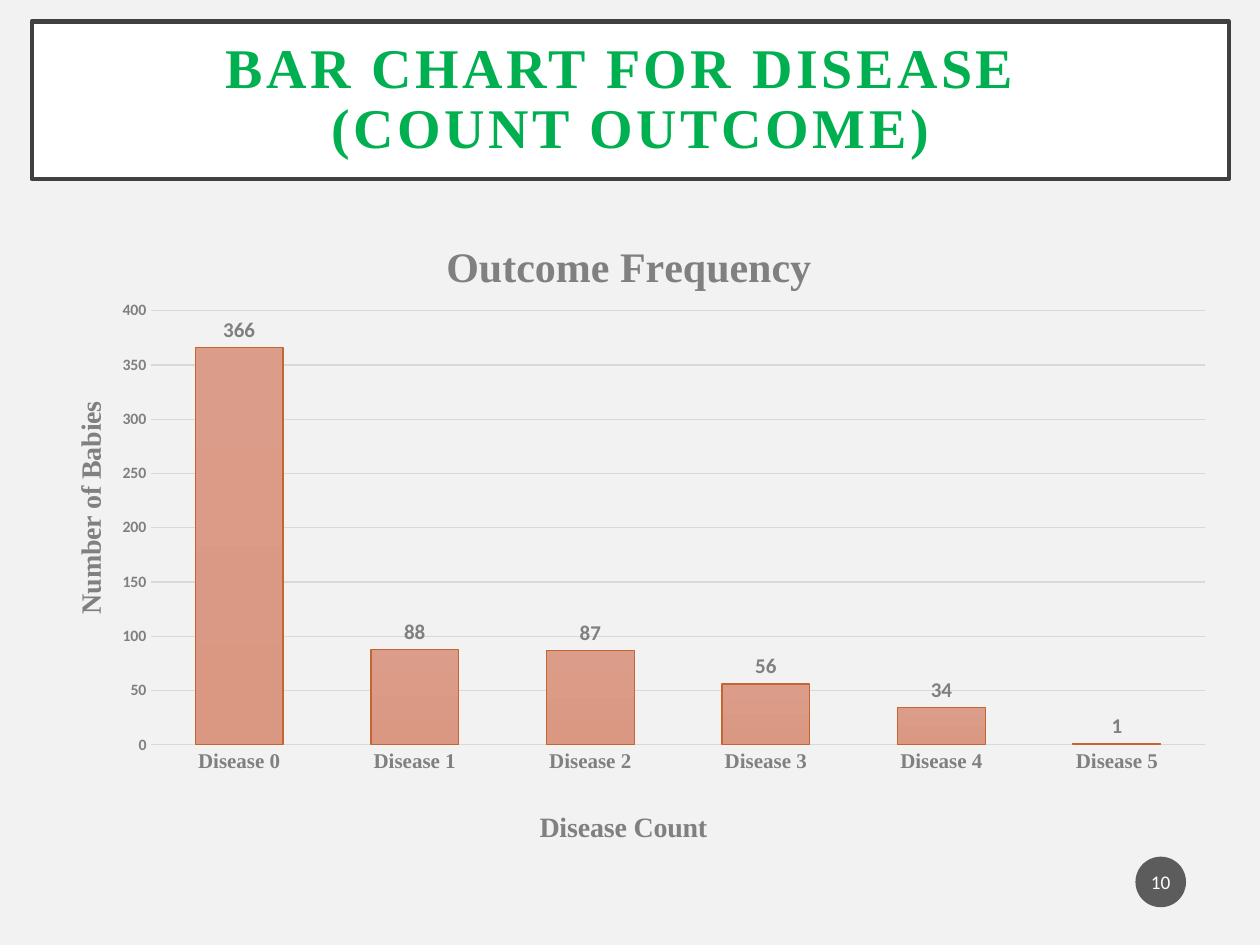
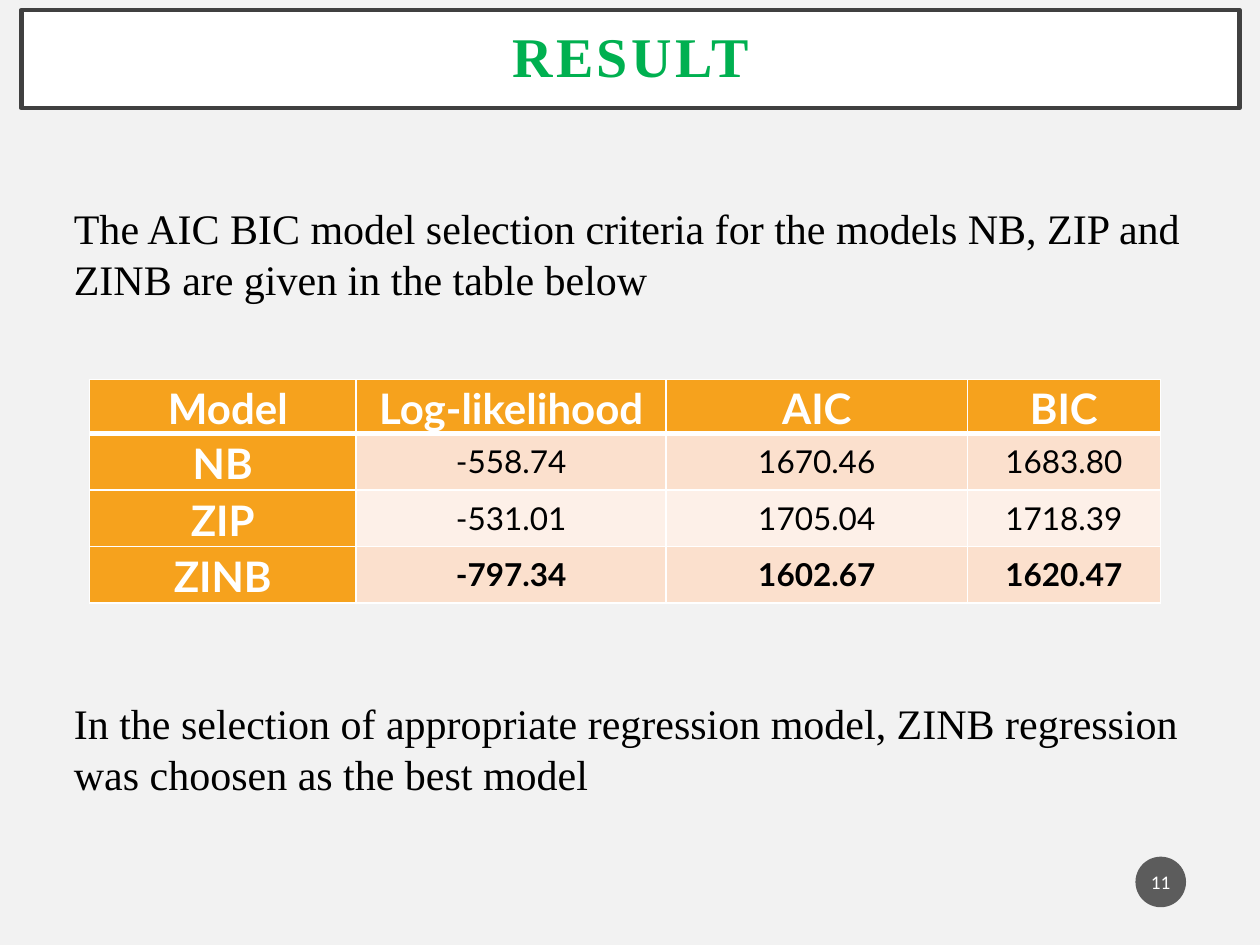
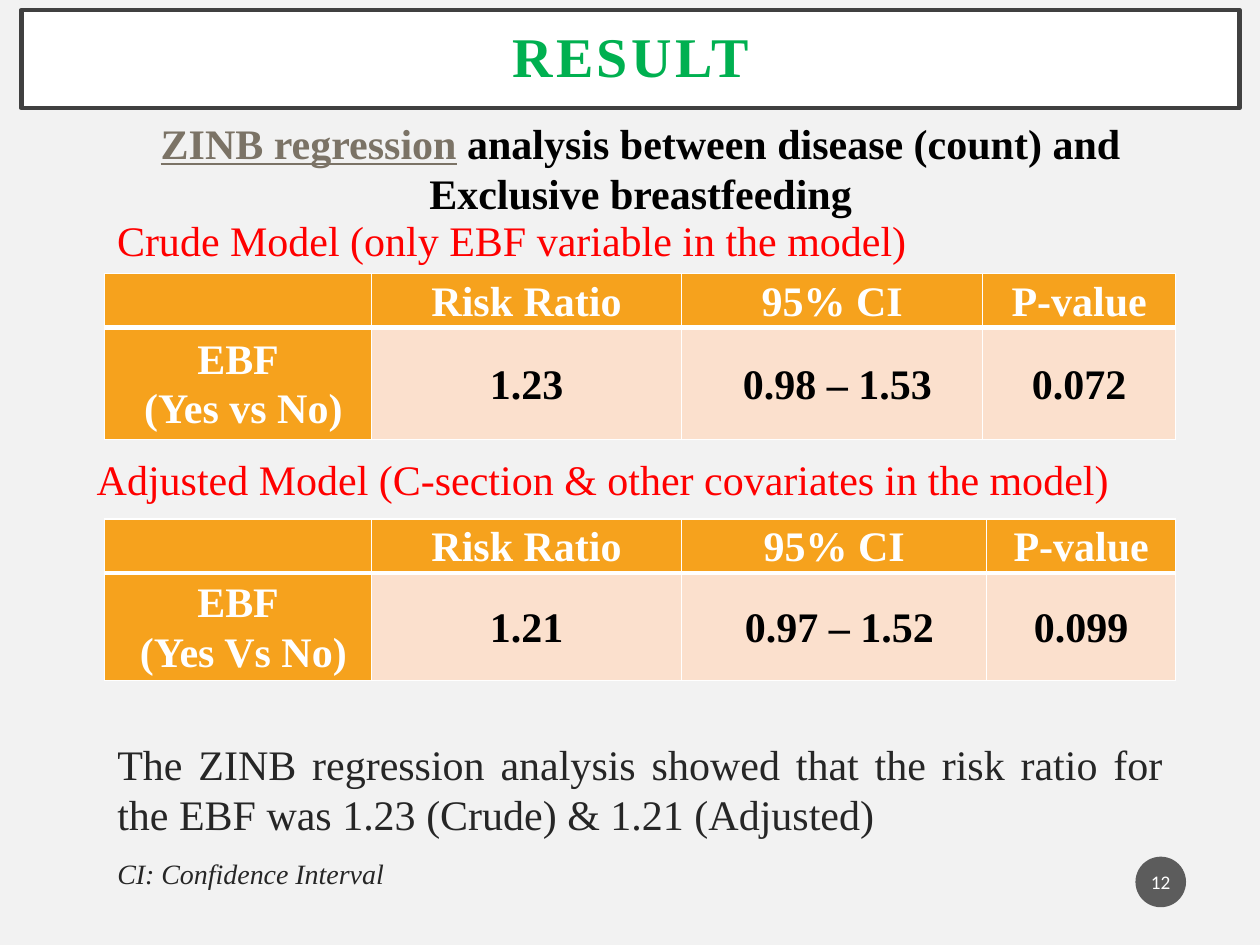
from dataclasses import dataclass

from lxml import etree
from pptx import Presentation
from pptx.chart.data import CategoryChartData
from pptx.dml.color import RGBColor
from pptx.enum import chart as charts, shapes, text
from pptx.oxml import ns
from pptx.util import Cm, Pt


# Shared look: colours, fonts and type sizes
@dataclass(frozen=True)
class Theme:
    page: str = "F2F2F2"
    white: str = "FFFFFF"
    black: str = "000000"
    frame: str = "404040"
    title: str = "00B050"
    badge: str = "1D1D1D"
    accent: str = "F6A21D"
    band: str = "FBE0CD"
    band_light: str = "FDF0E8"
    model: str = "FF0000"
    term: str = "7B7366"
    body: str = "262626"
    axis: str = "808080"
    grid: str = "D9D9D9"
    bar_top: str = "DB9C89"
    bar_bottom: str = "DA9882"
    bar_line: str = "C56530"
    serif: str = "Times New Roman"
    sans: str = "Calibri"
    table: str = "Lato"
    title_size: int = 32
    text_size: int = 24
    value_size: int = 18
    note_size: int = 16
    label_size: int = 12
    badge_size: int = 11
    chart_size: int = 10
    tick_size: int = 9


THEME = Theme()
CENTER = text.PP_ALIGN.CENTER
RESULT_BAND = (0.43, 0.2, 24.56, 1.98)
COLUMNS = (5.38, 6.25, 6.07, 3.89)


def rgb(colour):
    return RGBColor.from_string(colour)


def lengths(place):
    return [Cm(value) for value in place]


def style_font(font, size, colour, name=THEME.serif, bold=False):
    font.size, font.name, font.bold = Pt(size), name, bold
    font.color.rgb = rgb(colour)


def add_span(para, words, size, colour, name=THEME.serif, bold=False):
    span = para.add_run()
    span.text = words
    style_font(span.font, size, colour, name, bold)
    return span


def set_line(line, colour, width):
    line.color.rgb = rgb(colour)
    line.width = Pt(width)


def set_fill(item, colour):
    item.fill.solid()
    item.fill.fore_color.rgb = rgb(colour)


def move(shape, place):
    shape.left, shape.top, shape.width, shape.height = lengths(place)


# Parts found on every page
def add_title(page, lines, place):
    band = page.shapes.title
    move(band, place)
    set_fill(band, THEME.white)
    set_line(band.line, THEME.frame, 2.5)
    frame = band.text_frame
    frame.auto_size = text.MSO_AUTO_SIZE.NONE
    frame.vertical_anchor = text.MSO_ANCHOR.MIDDLE
    frame.margin_left = frame.margin_right = Cm(0.51)
    frame.margin_top = frame.margin_bottom = Cm(0.51)
    para = frame.paragraphs[0]
    para.alignment, para.line_spacing = CENTER, 0.9
    for index, words in enumerate(lines):
        if index:
            para.add_line_break()
        span = add_span(para, words, THEME.title_size, THEME.title, bold=True)
        span.font.element.set("spc", "200") if hasattr(span.font, "element") \
            else para.runs[-1]._r.get_or_add_rPr().set("spc", "200")


def add_badge(page, number):
    badge = page.shapes.add_shape(
        shapes.MSO_SHAPE.OVAL, *lengths((22.89, 17.27, 1.02, 1.02)))
    badge.shadow.inherit = False
    set_fill(badge, THEME.badge)
    colour = badge.element.spPr.find(".//" + ns.qn("a:srgbClr"))
    etree.SubElement(colour, ns.qn("a:alpha")).set("val", "70000")
    badge.line.fill.background()
    frame = badge.text_frame
    frame.margin_left = frame.margin_right = Cm(0.05)
    frame.vertical_anchor = text.MSO_ANCHOR.MIDDLE
    para = frame.paragraphs[0]
    para.alignment = CENTER
    add_span(para, str(number), THEME.badge_size, THEME.white, THEME.sans)


def add_page(deck, layout, number, lines, place):
    page = deck.slides.add_slide(deck.slide_layouts[layout])
    add_title(page, lines, place)
    add_badge(page, number)
    return page


def add_text(page, place, words="", colour=THEME.black):
    box = page.shapes.add_textbox(*lengths(place))
    box.text_frame.word_wrap = True
    para = box.text_frame.paragraphs[0]
    if words:
        add_span(para, words, THEME.text_size, colour)
    return para


# Tables
def set_borders(cell, bottom):
    properties = cell._tc.get_or_add_tcPr()
    for side, width in (("L", 1), ("R", 1), ("T", 1), ("B", bottom)):
        line = etree.SubElement(properties, ns.qn("a:ln" + side))
        line.set("w", str(Pt(width)))
        fill = etree.SubElement(line, ns.qn("a:solidFill"))
        etree.SubElement(fill, ns.qn("a:srgbClr")).set("val", THEME.white)


def fill_cell(cell, words, colour, fill, size, name, bold, spacing, bottom):
    set_borders(cell, bottom)
    set_fill(cell, fill)
    cell.vertical_anchor = text.MSO_ANCHOR.MIDDLE
    cell.margin_left = cell.margin_right = Cm(0.18)
    cell.margin_top = cell.margin_bottom = 0
    frame = cell.text_frame
    for index, line in enumerate(words.split("\n") if words else []):
        para = frame.add_paragraph() if index else frame.paragraphs[0]
        para.alignment, para.line_spacing = CENTER, spacing
        add_span(para, line, size, colour, name, bold)


def add_table(page, corner, columns, heights, rows, name, value_size,
              value_spacing):
    place = (*corner, sum(columns), sum(heights))
    table = page.shapes.add_table(
        len(rows), len(columns), *lengths(place)).table
    table.horz_banding = False
    for column, width in zip(table.columns, columns):
        column.width = Cm(width)
    for r, (row, height) in enumerate(zip(rows, heights)):
        table.rows[r].height = Cm(height)
        for c, words in enumerate(row):
            bottom = 1 if r else 3
            if r == 0 or c == 0:
                look = (THEME.white, THEME.accent, THEME.text_size, name,
                        True, 1.07)
            else:
                band = THEME.band if r % 2 else THEME.band_light
                look = (THEME.black, band, value_size, name,
                        r == len(rows) - 1, value_spacing)
            fill_cell(table.cell(r, c), words, *look, bottom)


# Chart
def set_layout(parent, index, **parts):
    for old in parent.findall(ns.qn("c:layout")):
        parent.remove(old)
    layout = etree.Element(ns.qn("c:layout"))
    manual = etree.SubElement(layout, ns.qn("c:manualLayout"))
    for tag, value in parts.items():
        etree.SubElement(manual, ns.qn("c:" + tag)).set("val", str(value))
    parent.insert(index, layout)


def add_chart_title(title, words, size, x, y):
    para = title.text_frame.paragraphs[0]
    add_span(para, words, size, THEME.axis, bold=True)
    set_layout(title.element, 1, xMode="edge", yMode="edge", x=x, y=y)


def style_axis(axis, size, name):
    axis.major_tick_mark = axis.minor_tick_mark = charts.XL_TICK_MARK.NONE
    style_font(axis.tick_labels.font, size, THEME.axis, name, True)


def add_disease_chart(page):
    data = CategoryChartData()
    data.categories = [f"Disease {count}" for count in range(6)]
    data.add_series("Series 1", (366, 88, 87, 56, 34, 1))
    chart = page.shapes.add_chart(
        charts.XL_CHART_TYPE.COLUMN_CLUSTERED,
        *lengths((0.64, 4.01, 24.13, 13.26)), data).chart
    style_font(chart.font, THEME.chart_size, THEME.black, THEME.sans)
    chart.has_legend = False

    # Titles and plot area
    add_chart_title(chart.chart_title, "Outcome Frequency",
                    THEME.text_size, 0.34, 0.05)
    add_chart_title(chart.category_axis.axis_title, "Disease Count",
                    THEME.note_size, 0.42, 0.92)
    add_chart_title(chart.value_axis.axis_title, "Number of Babies",
                    THEME.note_size, 0.03, 0.3)
    set_layout(chart.element.xpath("c:chart/c:plotArea")[0], 0,
               layoutTarget="inner", xMode="edge", yMode="edge",
               x=0.1, y=0.17, w=0.88, h=0.66)

    # Axes
    style_axis(chart.category_axis, THEME.label_size, THEME.serif)
    set_line(chart.category_axis.format.line, THEME.grid, 0.75)
    values = chart.value_axis
    style_axis(values, THEME.tick_size, THEME.sans)
    values.minimum_scale, values.maximum_scale = 0, 400
    values.major_unit = 50
    values.format.line.fill.background()
    set_line(values.major_gridlines.format.line, THEME.grid, 0.75)

    # Bars and their labels
    plot = chart.plots[0]
    plot.gap_width, plot.overlap = 100, -24
    plot.vary_by_categories = False
    bars = plot.series[0]
    fill = bars.format.fill
    fill.gradient()
    fill.gradient_angle = 270
    for stop, colour, position in zip(
            fill.gradient_stops, (THEME.bar_top, THEME.bar_bottom), (0, 1)):
        stop.color.rgb, stop.position = rgb(colour), position
    set_line(bars.format.line, THEME.bar_line, 0.75)
    labels = bars.data_labels
    labels.show_value = True
    labels.position = charts.XL_LABEL_POSITION.OUTSIDE_END
    style_font(labels.font, THEME.label_size, THEME.axis, THEME.sans, True)


# Pages
def build_chart_page(deck):
    page = add_page(deck, 5, 10, ("BAR CHART FOR DISEASE ",
                                  "(COUNT OUTCOME)"),
                    (0.64, 0.43, 24.13, 3.18))
    add_disease_chart(page)


def build_selection_page(deck):
    page = add_page(deck, 5, 11, ("RESULT",), RESULT_BAND)
    add_text(page, (1.24, 3.96, 23.29, 2.31),
             "The AIC BIC model selection criteria for the models NB, ZIP "
             "and ZINB are given in the table below")
    rows = (("\u00a0Model", "Log-likelihood", "AIC", "BIC"),
            ("NB", "-558.74", "1670.46", "1683.80"),
            ("ZIP", "-531.01", "1705.04", "1718.39"),
            ("ZINB", "-797.34", "1602.67", "1620.47"))
    add_table(page, (1.8, 7.65), COLUMNS, (1.07, 1.14, 1.14, 1.14), rows,
              THEME.table, THEME.value_size, 1.0)
    add_text(page, (1.24, 13.94, 23.29, 2.31),
             "In the selection of appropriate regression model, ZINB "
             "regression was choosen as the best model")


def add_risk_table(page, top, columns, heights, group, values):
    rows = (("", "Risk Ratio", "95% CI", "P-value"),
            (f"EBF\n {group}", *values))
    add_table(page, (2.11, top), columns, heights, rows, THEME.serif,
              THEME.text_size, 1.07)


def add_findings(page):
    body = page.placeholders[1]
    move(body, (2.11, 14.76, 21.59, 3.53))
    frame = body.text_frame
    frame.auto_size = text.MSO_AUTO_SIZE.NONE
    lines = (("The ZINB regression analysis showed that the risk ratio for "
              "the EBF\u00a0was 1.23 (Crude) & 1.21 (Adjusted)",
              THEME.text_size, False),
             ("CI: Confidence Interval", THEME.note_size, True))
    for index, (words, size, italic) in enumerate(lines):
        para = frame.add_paragraph() if index else frame.paragraphs[0]
        para.alignment = text.PP_ALIGN.JUSTIFY
        para.space_before = Pt(10)
        properties = para._p.get_or_add_pPr()
        properties.set("marL", "0")
        properties.set("indent", "0")
        etree.SubElement(properties, ns.qn("a:buNone"))
        add_span(para, words, size, THEME.body).font.italic = italic


def build_regression_page(deck):
    page = add_page(deck, 1, 12, ("RESULT",), RESULT_BAND)
    add_findings(page)
    heading = add_text(page, (1.27, 2.24, 23.29, 2.31))
    heading.alignment = CENTER
    term = add_span(heading, "ZINB regression", THEME.text_size, THEME.term,
                    bold=True)
    term.font.underline = True
    add_span(heading, " analysis between disease (count) and Exclusive "
             "breastfeeding", THEME.text_size, THEME.black, bold=True)

    add_text(page, (2.11, 4.19, 21.16, 1.27),
             "Crude Model (only EBF variable in the model)", THEME.model)
    add_risk_table(page, 5.51, COLUMNS, (0.99, 2.26), "(Yes vs No)",
                   ("1.23", " 0.98 – 1.53", "0.072"))
    add_text(page, (1.7, 9.02, 23.29, 1.27),
             "Adjusted Model (C-section & other covariates in the model)",
             THEME.model)
    add_risk_table(page, 10.46, (5.38, 6.25, 6.15, 3.81), (1.06, 2.16),
                   "(Yes Vs No)", ("1.21", " 0.97 – 1.52", "0.099"))


def main():
    deck = Presentation()
    deck.slide_width, deck.slide_height = Cm(25.4), Cm(19.05)
    set_fill(deck.slide_master.background, THEME.page)
    build_chart_page(deck)
    build_selection_page(deck)
    build_regression_page(deck)
    deck.save("out.pptx")


main()
